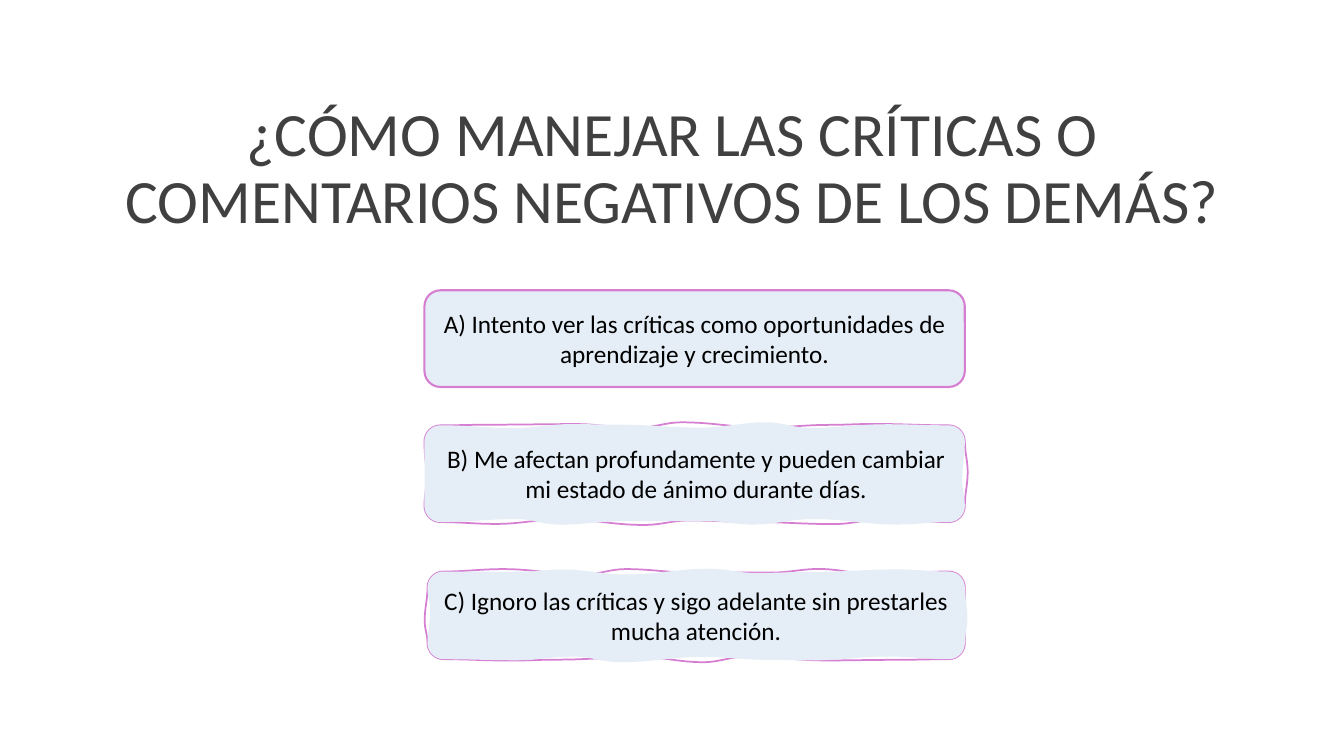
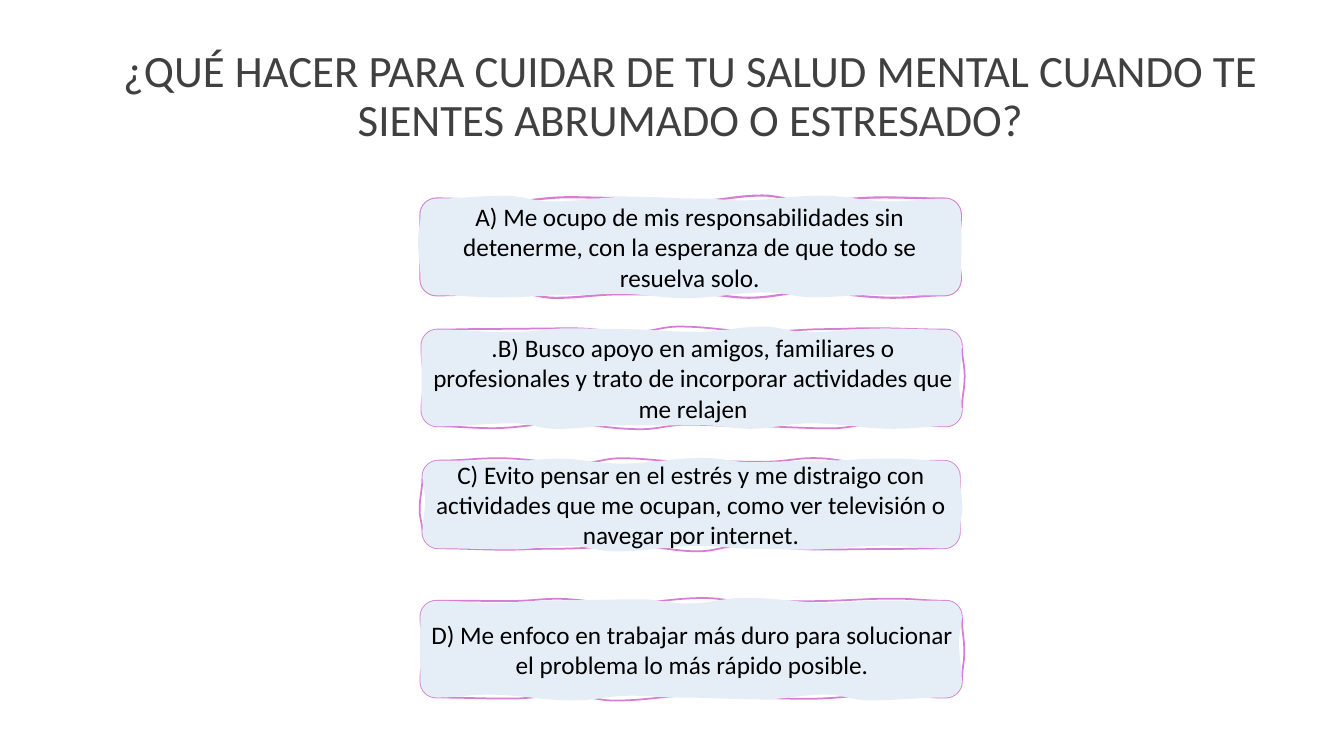
from copy import deepcopy
from math import cos, hypot, pi, sin

from lxml.etree import SubElement
from pptx import Presentation
from pptx.dml.color import RGBColor
from pptx.enum.shapes import MSO_SHAPE as Shape
from pptx.enum.text import MSO_ANCHOR as Anchor, MSO_AUTO_SIZE as Fit, PP_ALIGN as Align
from pptx.oxml.ns import qn
from pptx.util import Inches, Pt


def color(code):
    return RGBColor.from_string(code)


def write(shape, text, size, ink, font="Calibri", space=1.0):
    frame = shape.text_frame
    frame.word_wrap = True
    frame.auto_size = Fit.NONE
    frame.vertical_anchor = Anchor.MIDDLE
    frame.margin_left = frame.margin_right = Inches(0.1)
    frame.margin_top = frame.margin_bottom = Inches(0.05)
    para = frame.paragraphs[0]
    para.alignment = Align.CENTER
    para.line_spacing = space
    run = para.add_run()
    run.text = text
    run.font.name = font
    run.font.size = Pt(size)
    run.font.color.rgb = color(ink)


def wavy(left, top, width, height, seed, radius=0.16):
    """Start point, then two handles and an end for each curve of a rippled round box."""
    right, low = left + width, top + height
    corners = [(right, low), (left, low), (left, top), (right, top)]
    nodes = []
    for i, (x, y) in enumerate(corners):
        out_x, out_y = [(0, 1), (-1, 0), (0, -1), (1, 0)][i]
        go_x, go_y = -out_y, out_x
        next_x, next_y = corners[(i + 1) % 4]
        size = hypot(next_x - x, next_y - y) - 2 * radius
        gaps = 8 if size > 2 else 2
        for j in range(gaps + 1):
            inner = 0 < j < gaps
            shift = 0.2 * sin(seed + 2 * j + i) if inner else 0
            bump = 0.03 * sin(seed * 2 + 2.5 * j + i) if inner else 0
            along = radius + size * (j + shift) / gaps
            nodes.append((x + go_x * along + out_x * bump,
                          y + go_y * along + out_y * bump, go_x, go_y))
    points = [nodes[0][:2]]
    for (x, y, dx, dy), (to_x, to_y, to_dx, to_dy) in zip(nodes, nodes[1:] + nodes[:1]):
        pull = 0.39 * hypot(to_x - x, to_y - y)
        points += [(x + dx * pull, y + dy * pull),
                   (to_x - to_dx * pull, to_y - to_dy * pull), (to_x, to_y)]
    return [(Inches(x), Inches(y)) for x, y in points]


def curve(track):
    """Turn each three line steps of a path into one cubic curve."""
    steps = track.findall(qn("a:lnTo"))
    for first in range(0, len(steps), 3):
        bend = SubElement(track, qn("a:cubicBezTo"))
        steps[first].addprevious(bend)
        for step in steps[first:first + 3]:
            bend.append(step[0])
            track.remove(step)


class Deck:
    ink, dark, fill, edge = "000000", "404040", "E5EEF7", "D67FD2"

    def __init__(self):
        self.show = Presentation()
        self.show.slide_width = Inches(13.33)
        self.show.slide_height = Inches(7.5)

    def page(self):
        self.slide = self.show.slides.add_slide(self.show.slide_layouts[5])

    def title(self, text, left, top, size):
        title = self.slide.shapes.title
        title.left, title.top = Inches(left), Inches(top)
        title.width, title.height = Inches(11.5), Inches(1.45)
        write(title, text, size, self.dark, space=0.9)

    def style(self, shape, text, weight):
        shape.shadow.inherit = False
        shape.fill.solid()
        shape.fill.fore_color.rgb = color(self.fill)
        shape.line.color.rgb = color(self.edge)
        shape.line.width = Pt(weight)
        write(shape, text, 18, self.ink)

    def plain(self, text, *box):
        shape = self.slide.shapes.add_shape(Shape.ROUNDED_RECTANGLE, *map(Inches, box))
        self.style(shape, text, 1.5)

    def sketch(self, text, *box, seed=1, weight=1.25):
        """Hand-drawn box: one rippled outline under a fill that ripples differently."""
        line, area = wavy(*box, seed), wavy(*box, seed + 2)
        pen = self.slide.shapes.build_freeform(*line[0], scale=1.0)
        pen.add_line_segments(line[1:], close=True)
        pen.move_to(*area[0])
        pen.add_line_segments(area[1:], close=True)
        shape = pen.convert_to_shape()
        under = shape._element.xpath(".//a:path")[0]
        over = deepcopy(under)
        half = len(under) // 2
        del under[half:]
        del over[:half]
        under.set("fill", "none")
        over.set("stroke", "0")
        under.addnext(over)
        curve(under)
        curve(over)
        self.style(shape, text, weight)

    def save(self):
        self.show.save("out.pptx")


def main():
    deck = Deck()

    deck.page()
    deck.title("¿CÓMO MANEJAR LAS CRÍTICAS O COMENTARIOS NEGATIVOS DE LOS DEMÁS?",
               0.92, 0.96, 44)
    deck.plain("A) Intento ver las críticas como oportunidades de aprendizaje y crecimiento.",
               4.21, 2.88, 5.36, 0.96)
    deck.sketch("B) Me afectan profundamente y pueden cambiar mi estado de ánimo durante días.",
                4.21, 4.22, 5.36, 0.96)
    deck.sketch("C) Ignoro las críticas y sigo adelante sin prestarles mucha atención.",
                4.24, 5.67, 5.33, 0.87, seed=2)

    deck.page()
    deck.title("¿QUÉ HACER PARA CUIDAR DE TU SALUD MENTAL CUANDO TE SIENTES ABRUMADO O ESTRESADO?",
               1.1, 0.24, 32)
    deck.sketch("A) Me ocupo de mis responsabilidades sin detenerme, con la esperanza de que "
                "todo se resuelva solo.", 4.17, 1.97, 5.36, 0.96, seed=3, weight=1.5)
    deck.sketch(".B) Busco apoyo en amigos, familiares o profesionales y trato de incorporar "
                "actividades que me relajen", 4.18, 3.27, 5.36, 0.96)
    deck.sketch("C) Evito pensar en el estrés y me distraigo con actividades que me ocupan, "
                "como ver televisión o navegar por internet.", 4.19, 4.57, 5.33, 0.87, seed=2)
    deck.sketch("D) Me enfoco en trabajar más duro para solucionar el problema lo más rápido "
                "posible.", 4.17, 5.96, 5.37, 0.96, seed=4)
    deck.save()


if __name__ == "__main__":
    main()
